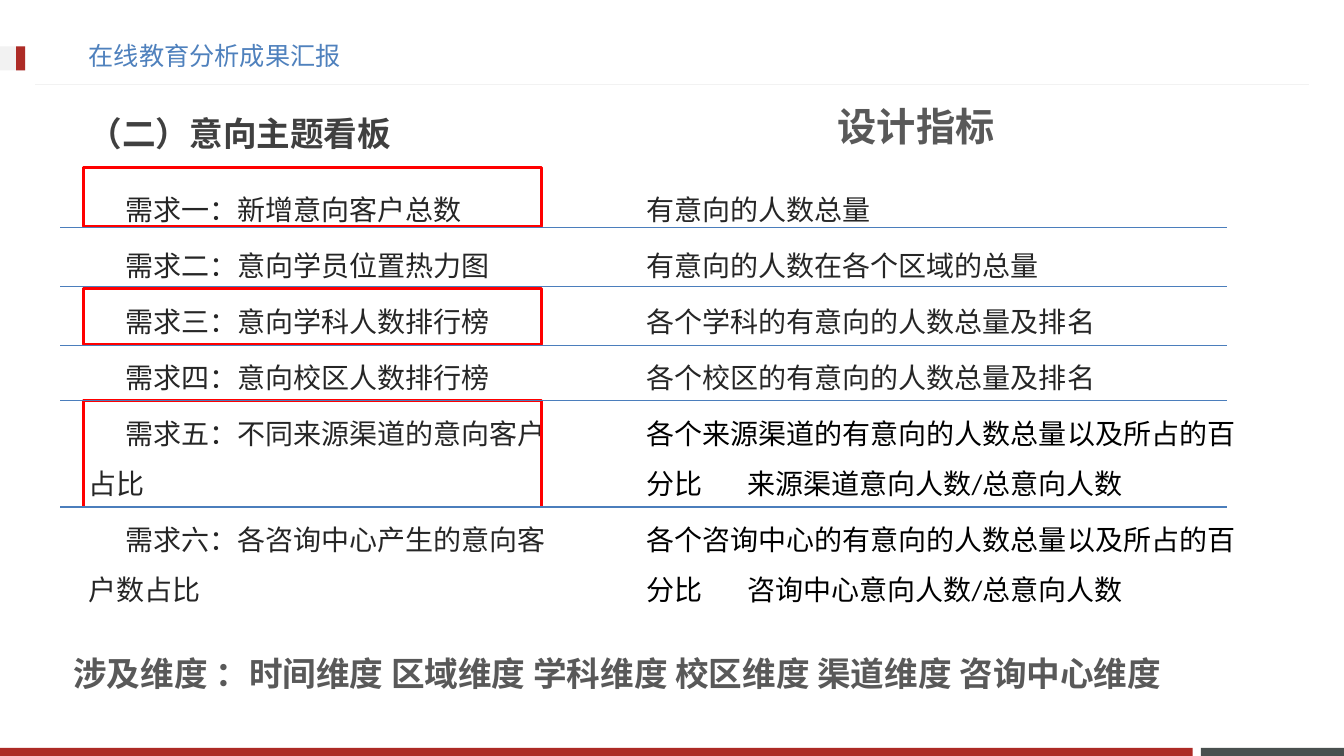
from lxml import etree
from pptx import Presentation
from pptx.dml.color import RGBColor
from pptx.enum.shapes import MSO_CONNECTOR, MSO_SHAPE
from pptx.enum.text import MSO_ANCHOR, MSO_AUTO_SIZE, PP_ALIGN
from pptx.oxml.ns import qn
from pptx.util import Inches, Pt

STRAIGHT, RECT = MSO_CONNECTOR.STRAIGHT, MSO_SHAPE.RECTANGLE
TOP, MIDDLE = MSO_ANCHOR.TOP, MSO_ANCHOR.MIDDLE
NO_FIT, LEFT = MSO_AUTO_SIZE.NONE, PP_ALIGN.LEFT

SLIDE_W, SLIDE_H = 13.33, 7.5
COMPARISON_LAYOUT = 4
CRIMSON = RGBColor(0xAD, 0x2B, 0x26)
SLATE = RGBColor(0x49, 0x50, 0x4F)
PALE = RGBColor(0xF2, 0xF2, 0xF2)
BLUE = RGBColor(0x4F, 0x81, 0xBD)
RULE_BLUE = RGBColor(0x4B, 0x7E, 0xBC)
RED = RGBColor(0xFF, 0x00, 0x00)
BLACK = RGBColor(0x00, 0x00, 0x00)
INK = RGBColor(0x26, 0x26, 0x26)
HEADING = RGBColor(0x40, 0x40, 0x40)
GREY = RGBColor(0x59, 0x59, 0x59)
JP, SC = "Noto Sans CJK JP", "Noto Sans CJK SC"

NEEDS = [
    "需求一：新增意向客户总数",
    "需求二：意向学员位置热力图",
    "需求三：意向学科人数排行榜",
    "需求四：意向校区人数排行榜",
    "需求五：不同来源渠道的意向客户占比",
    "需求六：各咨询中心产生的意向客户数占比",
]
METRICS = [
    "有意向的人数总量",
    "有意向的人数在各个区域的总量",
    "各个学科的有意向的人数总量及排名",
    "各个校区的有意向的人数总量及排名",
]
RATIO_METRICS = [
    "各个来源渠道的有意向的人数总量以及所占的百分比\t来源渠道意向人数/总意向人数",
    "各个咨询中心的有意向的人数总量以及所占的百分比\t咨询中心意向人数/总意向人数",
]
ROW_RULES = [2.26, 2.84, 3.43, 3.97, 5.03]
KEY_ROWS = [(1.66, 0.59), (2.86, 0.56), (3.97, 1.06)]


def add_text(frame, text, size=20, font=JP, east_asian=None, color=INK, bold=False,
             first_indent=0, line=None, before=0):
    """Append one formatted paragraph to a text frame."""
    paragraph = frame.paragraphs[0]
    if paragraph.runs:
        paragraph = frame.add_paragraph()
        paragraph.space_before = Pt(before)
    else:
        paragraph.space_before = Pt(0)
    paragraph.alignment = LEFT
    if line:
        paragraph.line_spacing = Pt(line)
    props = paragraph._p.get_or_add_pPr()
    props.set("marL", "0")
    props.set("indent", str(Inches(first_indent)))
    etree.SubElement(props, qn("a:buNone"))
    run = paragraph.add_run()
    run.text = text
    run.font.size, run.font.name, run.font.bold = Pt(size), font, bold
    run.font.color.rgb = color
    etree.SubElement(run._r.get_or_add_rPr(), qn("a:ea")).set("typeface", east_asian or font)


def place(shape, box, anchor=MIDDLE):
    """Move a text shape into its box and return its text frame."""
    shape.left, shape.top, shape.width, shape.height = map(Inches, box)
    frame = shape.text_frame
    frame.word_wrap, frame.auto_size, frame.vertical_anchor = True, NO_FIT, anchor
    return frame


def add_block(slide, box, fill=None, outline=None):
    """Draw a plain rectangle, filled or outlined."""
    block = slide.shapes.add_shape(RECT, *map(Inches, box))
    block.shadow.inherit = False
    if fill is None:
        block.fill.background()
    else:
        block.fill.solid()
        block.fill.fore_color.rgb = fill
    if outline is None:
        block.line.fill.background()
    else:
        block.line.color.rgb, block.line.width = outline, Pt(2)


def add_rule(slide, left, right, y, color):
    """Draw a thin horizontal line."""
    rule = slide.shapes.add_connector(
        STRAIGHT, Inches(left), Inches(y), Inches(right), Inches(y))
    rule.line.color.rgb, rule.line.width = color, Pt(0.75)
    etree.SubElement(rule._element.spPr, qn("a:effectLst"))


def add_frame(slide, width, height):
    """Draw the header mark, header line and footer bars."""
    bar = 0.08
    add_block(slide, (width - 1.42, height - bar, 1.42, bar), SLATE)
    add_block(slide, (0, height - bar, width - 1.5, bar), CRIMSON)
    add_rule(slide, 0.35, width - 0.35, 0.84, PALE)
    add_block(slide, (0, 0.46, 0.25, 0.24), PALE)
    add_block(slide, (0.16, 0.46, 0.09, 0.24), CRIMSON)


def add_headings(slide, left):
    """Fill the title and the two column headings."""
    holders = slide.placeholders
    add_text(place(slide.shapes.title, (left, 0.26, 9.59, 0.57)),
             "在线教育分析成果汇报", size=18, font="Roboto", color=BLUE)
    add_text(place(holders[1], (left, 1.03, 7, 0.57)),
             "（二）意向主题看板", size=24, color=HEADING, bold=True)
    add_text(place(holders[3], (8.21, 0.96, 1.84, 0.57)),
             "设计指标", size=28, font=SC, color=GREY, bold=True)


def add_columns(slide, left, right, top):
    """Fill the needs and the metrics, with row lines and key-row outlines."""
    rows = {"line": 36, "before": 4}
    needs = place(slide.placeholders[2], (left, top, 4.78, 4.75), TOP)
    for need in NEEDS:
        add_text(needs, need, first_indent=0.36, **rows)
    for row_top, row_height in KEY_ROWS:
        add_block(slide, (left + 0.05, row_top, 4.54, row_height), outline=RED)
    metrics = place(slide.placeholders[4], (right, top, 6.19, 4.48), TOP)
    for metric in METRICS:
        add_text(metrics, metric, **rows)
    for metric in RATIO_METRICS:
        add_text(metrics, metric, font="Calibri", east_asian=JP, color=BLACK, **rows)
    for y in ROW_RULES:
        add_rule(slide, 0.6, 12.17, y, RULE_BLUE)


def add_dimensions(slide, box):
    """Write the closing line of dimensions."""
    dimensions = slide.shapes.add_textbox(*map(Inches, box))
    add_text(place(dimensions, box),
             "涉及维度 ：时间维度 区域维度 学科维度 校区维度 渠道维度 咨询中心维度",
             size=24, font=SC, color=GREY, bold=True)


def main():
    """Build and save the slide."""
    deck = Presentation()
    deck.slide_width, deck.slide_height = Inches(SLIDE_W), Inches(SLIDE_H)
    slide = deck.slides.add_slide(deck.slide_layouts[COMPARISON_LAYOUT])
    add_frame(slide, SLIDE_W, SLIDE_H)
    add_headings(slide, 0.78)
    add_columns(slide, 0.78, 6.31, 1.69)
    add_dimensions(slide, (0.63, 6.43, 11.87, 0.5))
    deck.save("out.pptx")


if __name__ == "__main__":
    main()
